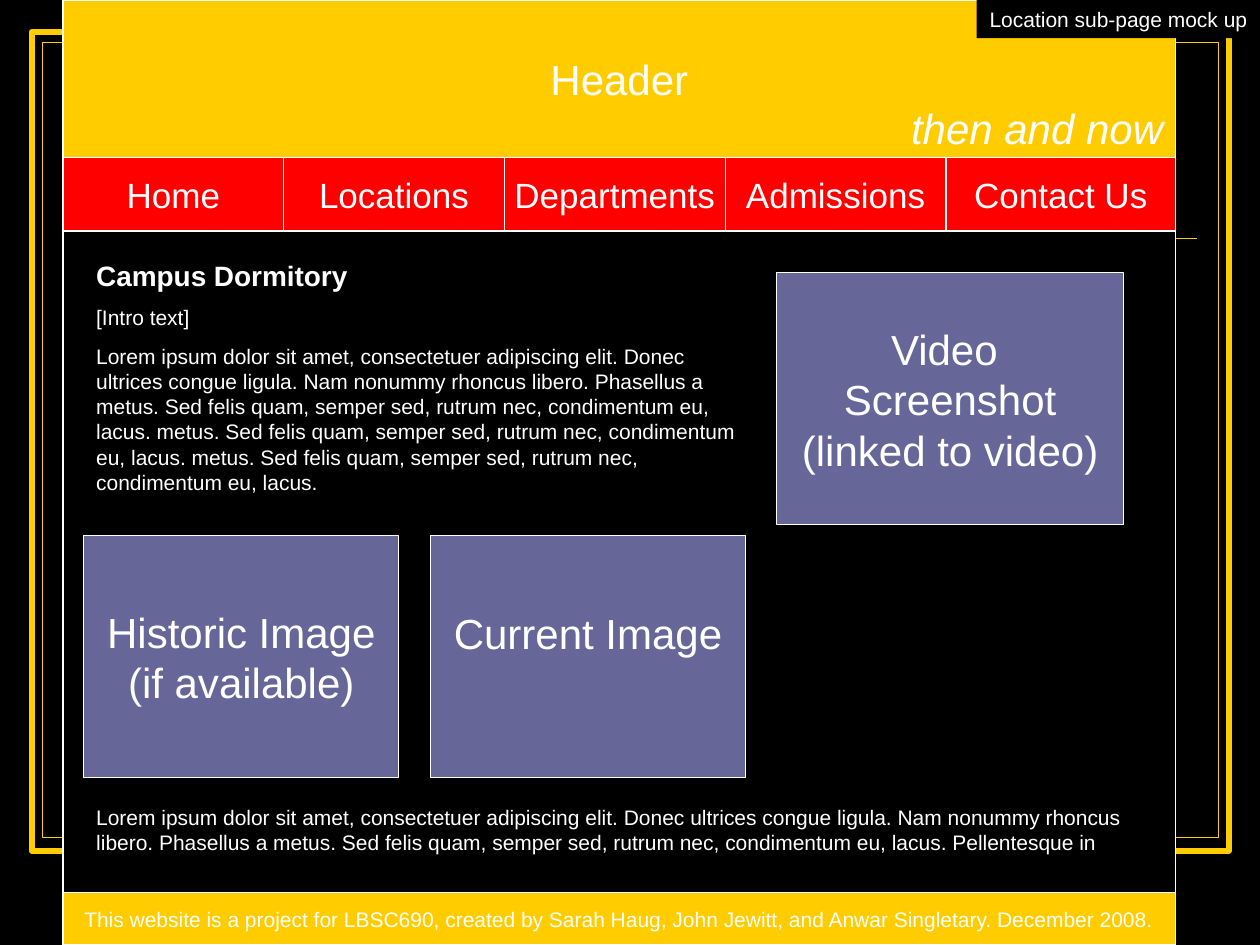
from pptx import Presentation
from pptx.dml.color import RGBColor
from pptx.enum.shapes import MSO_CONNECTOR, MSO_SHAPE
from pptx.enum.text import MSO_ANCHOR, PP_ALIGN
from pptx.oxml.ns import qn
from pptx.util import Cm, Pt
from lxml.etree import SubElement

COLORS = {
    "black": "000000",
    "white": "FFFFFF",
    "gold": "FFCC00",
    "red": "FF0000",
    "violet": "666699",
}
FONT = "Arial"

# Web page area, in centimetres
PAGE_LEFT, PAGE_WIDTH = 1.27, 22.43
HEADER_HEIGHT = 3.18
TAB_WIDTH, TAB_HEIGHT = 4.45, 1.48
TABS = ["Home", "Locations", "Departments", "Admissions", "Contact Us"]

INTRO = (
    "Lorem ipsum dolor sit amet, consectetuer adipiscing elit. Donec ultrices "
    "congue ligula. Nam nonummy rhoncus libero. Phasellus a metus. Sed felis "
    "quam, semper sed, rutrum nec, condimentum eu, lacus. metus. Sed felis quam, "
    "semper sed, rutrum nec, condimentum eu, lacus. metus. Sed felis quam, "
    "semper sed, rutrum nec, condimentum eu, lacus."
)
CLOSING = (
    "Lorem ipsum dolor sit amet, consectetuer adipiscing elit. Donec ultrices "
    "congue ligula. Nam nonummy rhoncus libero. Phasellus a metus. Sed felis "
    "quam, semper sed, rutrum nec, condimentum eu, lacus. Pellentesque in"
)
CREDIT = (
    "This website is a project for LBSC690, created by Sarah Haug, John Jewitt, "
    "and Anwar Singletary. December 2008."
)


def color(name):
    return RGBColor.from_string(COLORS[name])


def write(frame, lines, size, align, space=0, bold=False, italic=False):
    """Fill a text frame; space goes before every paragraph but the first."""
    for index, line in enumerate(lines):
        para = frame.paragraphs[0] if index == 0 else frame.add_paragraph()
        para.text = line
        para.alignment = align
        para.space_before = Pt(space if index else 0)
        para.font.name = FONT
        para.font.size = Pt(size)
        para.font.bold = bold
        para.font.italic = italic
        para.font.color.rgb = color("white")


def add_block(slide, area, fill, line="white", line_width=0.75, lines=(), size=24):
    """Rectangle with optional centred, unwrapped text."""
    block = slide.shapes.add_shape(MSO_SHAPE.RECTANGLE, *map(Cm, area))
    block.shadow.inherit = False
    block.fill.solid()
    block.fill.fore_color.rgb = color(fill)
    block.line.color.rgb = color(line)
    block.line.width = Pt(line_width)
    frame = block.text_frame
    frame.word_wrap = False
    frame.vertical_anchor = MSO_ANCHOR.MIDDLE
    write(frame, lines, size, PP_ALIGN.CENTER)
    return block


def add_text(slide, area, lines, size=12, align=PP_ALIGN.LEFT, **style):
    box = slide.shapes.add_textbox(*map(Cm, area))
    box.text_frame.word_wrap = True
    write(box.text_frame, lines, size, align, **style)
    return box


def add_backdrop(slide):
    """Black background with a double gold frame and a rule."""
    slide.background.fill.solid()
    slide.background.fill.fore_color.rgb = color("black")
    add_block(slide, (0.64, 0.64, 24.13, 16.51), "black", "gold", 3.5)
    add_block(slide, (0.86, 0.86, 23.7, 16.03), "black", "gold", 0.75)
    rule = slide.shapes.add_connector(
        MSO_CONNECTOR.STRAIGHT, Cm(1.47), Cm(4.81), Cm(24.13), Cm(4.81)
    )
    rule.line.color.rgb = color("gold")
    rule.line.width = Pt(1)
    SubElement(rule._element.spPr, qn("a:effectLst"))


def add_navigation(slide):
    """Equal tabs; the last one takes the rest of the width."""
    for index, label in enumerate(TABS):
        offset = index * TAB_WIDTH
        width = PAGE_WIDTH - offset if label == TABS[-1] else TAB_WIDTH
        area = (PAGE_LEFT + offset, HEADER_HEIGHT, width, TAB_HEIGHT)
        add_block(slide, area, "red", lines=[label], size=20)


def add_media(slide):
    """Placeholders for the two images and the video."""
    add_block(slide, (1.69, 10.8, 6.35, 4.87), "violet",
              lines=["Historic Image", "(if available)"])
    current = add_block(slide, (8.68, 10.8, 6.35, 4.87), "violet",
                        lines=["Current Image"])
    # Lifts the caption level with the first line of its neighbour
    current.text_frame.margin_bottom = Cm(1.1)
    add_block(slide, (15.66, 5.5, 6.99, 5.08), "violet",
              lines=["Video ", "Screenshot", "(linked to video)"])


def main():
    deck = Presentation()
    deck.slide_width, deck.slide_height = Cm(25.4), Cm(19.05)
    slide = deck.slides.add_slide(deck.slide_layouts[6])
    add_backdrop(slide)

    # Page, header and navigation
    add_block(slide, (PAGE_LEFT, 0, PAGE_WIDTH, 19.05), "black")
    add_block(slide, (PAGE_LEFT, 0, PAGE_WIDTH, HEADER_HEIGHT), "gold", lines=["Header"])
    add_text(slide, (16.51, 1.95, 7.19, 1.27), ["then and now"], 24,
             PP_ALIGN.RIGHT, italic=True)
    add_navigation(slide)

    # Page content
    intro = add_text(slide, (1.69, 5.08, 13.55, 5.03),
                     ["Campus Dormitory", "[Intro text]", INTRO], space=7.5)
    heading = intro.text_frame.paragraphs[0]
    heading.font.size = Pt(16)
    heading.font.bold = True
    add_media(slide)
    add_text(slide, (1.69, 16.09, 21.38, 1.27), [CLOSING])

    # Footer and mock-up label
    add_block(slide, (PAGE_LEFT, 17.99, PAGE_WIDTH, 1.06), "gold", lines=[CREDIT], size=12)
    label = add_text(slide, (19.69, 0, 5.71, 0.77), ["Location sub-page mock up"],
                     align=PP_ALIGN.RIGHT)
    label.fill.solid()
    label.fill.fore_color.rgb = color("black")

    deck.save("out.pptx")


if __name__ == "__main__":
    main()
